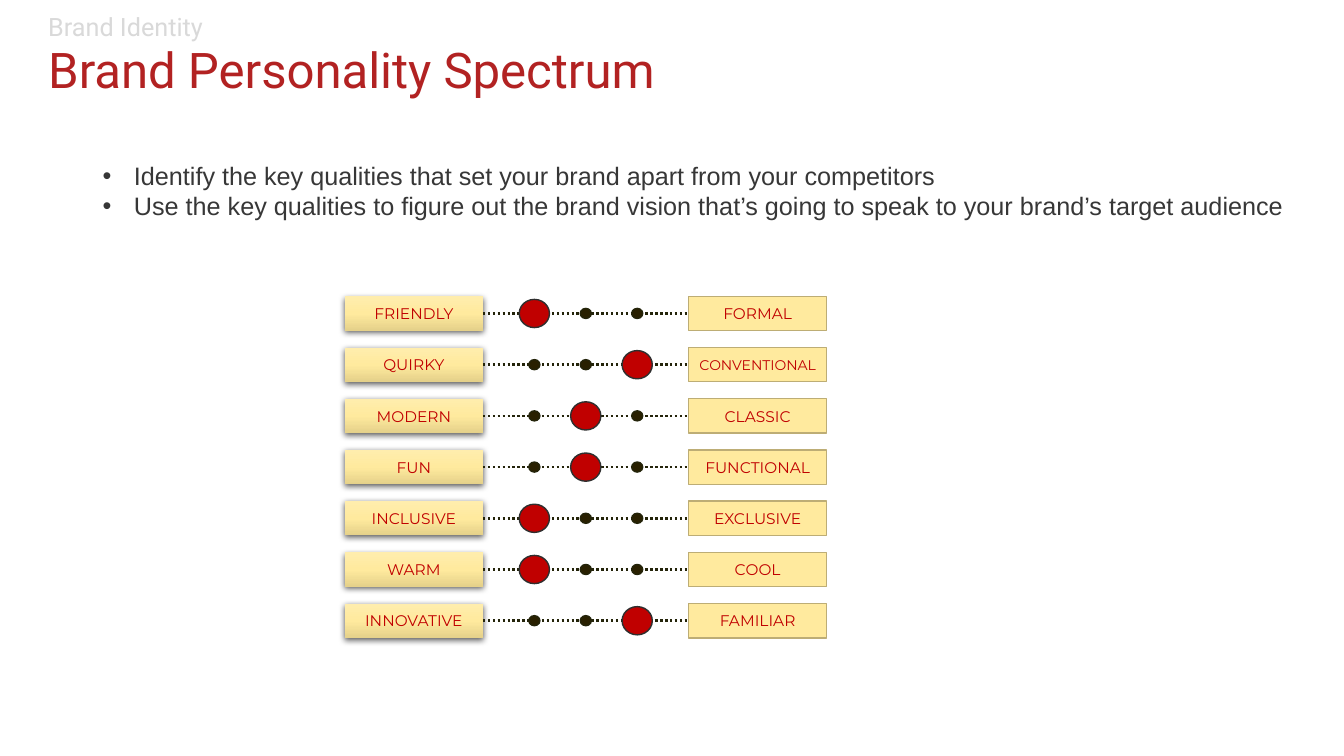
from lxml.etree import SubElement
from pptx import Presentation
from pptx.dml.color import RGBColor
from pptx.enum.dml import MSO_LINE
from pptx.enum.shapes import MSO_CONNECTOR, MSO_SHAPE
from pptx.enum.text import MSO_ANCHOR, PP_ALIGN
from pptx.oxml import parse_xml
from pptx.oxml.ns import nsdecls, qn
from pptx.util import Inches, Pt

RED = RGBColor(0xC0, 0x00, 0x00)
TITLE_RED = RGBColor(0xB2, 0x22, 0x22)
PALE_GREY = RGBColor(0xD9, 0xD9, 0xD9)
TEXT_GREY = RGBColor(0x37, 0x37, 0x37)
CREAM = RGBColor(0xFF, 0xEA, 0x9E)
CREAM_LIGHT = RGBColor(0xFF, 0xED, 0xAD)
CREAM_DARK = RGBColor(0xE5, 0xD1, 0x8A)
KHAKI = RGBColor(0xBD, 0xAD, 0x75)
DOT = RGBColor(0x29, 0x20, 0x00)
RAIL = RGBColor(0x24, 0x24, 0x0A)
MARKER_LINE = RGBColor(0x2F, 0x2F, 0x2F)
BLACK = RGBColor(0x00, 0x00, 0x00)

LEFT, TOP = 3.42, 2.94
BOX_W, BOX_H = 1.37, 0.34
RAIL_W, ROW_PITCH = 2.04, 0.508
STOPS = 3
DOT_SIZE = (0.11, 0.1)
MARKER_SIZE = (0.3, 0.28)

TRAITS = [
    ("FRIENDLY", "FORMAL", 1),
    ("QUIRKY", "CONVENTIONAL", 3),
    ("MODERN", "CLASSIC", 2),
    ("FUN", "FUNCTIONAL", 2),
    ("INCLUSIVE", "EXCLUSIVE", 1),
    ("WARM", "COOL", 1),
    ("INNOVATIVE", "FAMILIAR", 3),
]
ADVICE = [
    "Identify the key qualities that set your brand apart from your competitors",
    "Use the key qualities to figure out the brand vision that’s going to speak "
    "to your brand’s target audience",
]


def set_attrs(obj, values):
    for name, value in values.items():
        setattr(obj, name, value)


def write(p, text, size, font, color):
    r = p.add_run()
    r.text = text
    set_attrs(r.font, {"size": Pt(size), "name": font})
    r.font.color.rgb = color


def add_shape(s, kind, box, fill, line=None):
    sp = s.shapes.add_shape(kind, *map(Inches, box))
    sp.shadow.inherit = False
    sp.fill.solid()
    sp.fill.fore_color.rgb = fill
    if line is None:
        sp.line.fill.background()
    else:
        sp.line.color.rgb = line
        sp.line.width = Pt(1)
    return sp


def add_label(s, text, x, y, line=None):
    sp = add_shape(s, MSO_SHAPE.RECTANGLE, (x, y, BOX_W, BOX_H), CREAM, line)
    tf = sp.text_frame
    set_attrs(tf, {"word_wrap": False, "vertical_anchor": MSO_ANCHOR.MIDDLE})
    p = tf.paragraphs[0]
    p.alignment = PP_ALIGN.CENTER
    write(p, text, 10 if len(text) > 10 else 11, "Montserrat", RED)
    return sp


def raise_label(sp):
    stops = zip((0, 50000, 100000), (CREAM_LIGHT, CREAM, CREAM_DARK))
    gradient = "".join(
        f'<a:gs pos="{pos}"><a:srgbClr val="{color}"/></a:gs>' for pos, color in stops)
    sp_pr = sp._element.spPr
    sp_pr.replace(sp_pr.find(qn("a:solidFill")), parse_xml(
        f'<a:gradFill {nsdecls("a")} rotWithShape="1"><a:gsLst>{gradient}</a:gsLst>'
        '<a:lin ang="5400000" scaled="0"/></a:gradFill>'))
    sp_pr.find(qn("a:effectLst")).append(parse_xml(
        f'<a:outerShdw {nsdecls("a")} blurRad="{Pt(4.5)}" dist="{Pt(1.5)}" '
        f'dir="5400000" rotWithShape="0"><a:srgbClr val="{BLACK}">'
        '<a:alpha val="63000"/></a:srgbClr></a:outerShdw>'))


def add_rail(s, start, end):
    rail = s.shapes.add_connector(MSO_CONNECTOR.STRAIGHT, 0, 0, 0, 0)
    rail.begin_connect(start, 3)
    rail.end_connect(end, 1)
    set_attrs(rail.line, {"width": Pt(1.75), "dash_style": MSO_LINE.ROUND_DOT})
    rail.line.color.rgb = RAIL
    SubElement(rail._element.spPr, qn("a:effectLst"))


def add_circle(s, cx, cy, size, fill, line):
    w, h = size
    add_shape(s, MSO_SHAPE.OVAL, (cx - w / 2, cy - h / 2, w, h), fill, line)


def add_trait(s, row, left, right, choice):
    y = TOP + row * ROW_PITCH
    rail_x, cy = LEFT + BOX_W, y + BOX_H / 2
    start = add_label(s, left, LEFT, y)
    raise_label(start)
    end = add_label(s, right, rail_x + RAIL_W, y, KHAKI)
    add_rail(s, start, end)
    stop_x = [rail_x + RAIL_W * i / (STOPS + 1) for i in range(1, STOPS + 1)]
    for cx in stop_x:
        add_circle(s, cx, cy, DOT_SIZE, DOT, RAIL)
    add_circle(s, stop_x[choice - 1], cy, MARKER_SIZE, RED, MARKER_LINE)


def add_text(s, box, lines, size, font, color, spacing=1.0, bullet=False):
    tf = s.shapes.add_textbox(*map(Inches, box)).text_frame
    tf.word_wrap = True
    for i, text in enumerate(lines):
        p = tf.add_paragraph() if i else tf.paragraphs[0]
        p.line_spacing = spacing
        if bullet:
            p_pr = p._p.get_or_add_pPr()
            p_pr.set("marL", str(Inches(0.31)))
            p_pr.set("indent", str(Inches(-0.31)))
            SubElement(p_pr, qn("a:buFont"), typeface="Arial")
            SubElement(p_pr, qn("a:buChar"), char="•")
        write(p, text, size, font, color)


def main():
    prs = Presentation()
    set_attrs(prs, {"slide_width": Inches(13.33), "slide_height": Inches(7.5)})
    s = prs.slides.add_slide(prs.slide_layouts[6])
    add_text(s, (0.38, 0.1, 3.47, 0.4), ["Brand Identity"], 18, "Roboto", PALE_GREY, 0.9)
    add_text(s, (0.38, 0.41, 7.02, 0.73), ["Brand Personality Spectrum"],
             35.1, "Roboto", TITLE_RED, 0.9)
    add_text(s, (0.92, 1.54, 12.14, 0.71), ADVICE, 18, "Arial", TEXT_GREY, bullet=True)
    for row, trait in enumerate(TRAITS):
        add_trait(s, row, *trait)
    prs.save("out.pptx")


if __name__ == "__main__":
    main()
